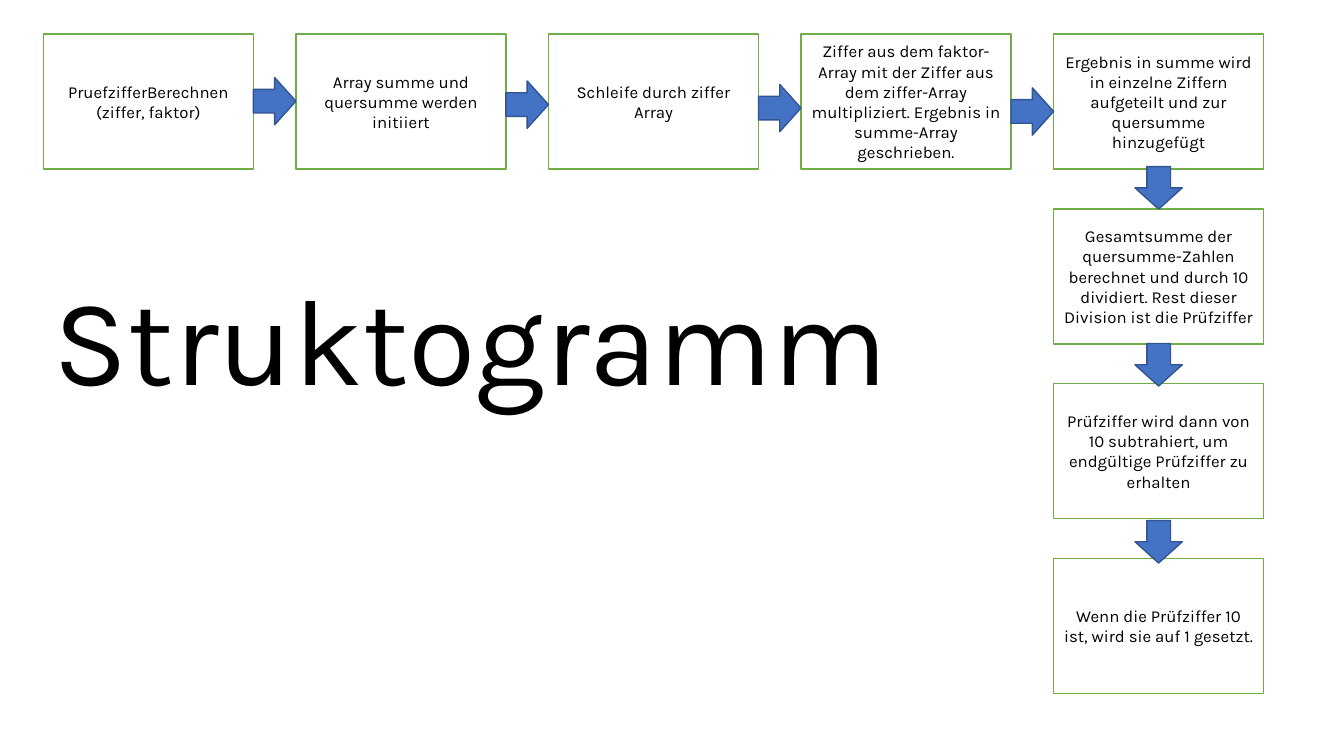
from collections import namedtuple
from dataclasses import dataclass

from pptx import Presentation
from pptx import util as u
from pptx.dml.color import RGBColor
from pptx.enum import shapes, text

Box = namedtuple("Box", "left top width height")


@dataclass(frozen=True)
class Theme:
    """Colours, font and type sizes of the deck."""
    font: str = "Karla"
    ink: str = "000000"
    step_fill: str = "FFFFFF"
    step_line: str = "70AD47"
    arrow_fill: str = "4472C4"
    arrow_line: str = "325491"
    step_size: int = 12
    title_size: int = 88
    line_width: int = 1


THEME = Theme()
STEP_WIDTH, STEP_HEIGHT = 150, 96.5
PITCH_X, PITCH_Y = 180.4, 124.8
ARROW_LENGTH, ARROW_THICKNESS = 30.4, 33.8

ROW_STEPS = [
    "PruefzifferBerechnen\n(ziffer, faktor)",
    "Array summe und quersumme werden initiiert",
    "Schleife durch ziffer Array",
    "Ziffer aus dem faktor-Array mit der Ziffer aus dem ziffer-Array "
    "multipliziert. Ergebnis in summe-Array geschrieben.",
    "Ergebnis in summe wird in einzelne Ziffern aufgeteilt und zur "
    "quersumme hinzugefügt",
]
COLUMN_STEPS = [
    "Gesamtsumme der quersumme-Zahlen berechnet und durch 10 dividiert. "
    "Rest dieser Division ist die Prüfziffer",
    "Prüfziffer wird dann von 10 subtrahiert, um endgültige Prüfziffer "
    "zu erhalten",
    "Wenn die Prüfziffer 10 ist, wird sie auf 1 gesetzt.",
]


def apply_format(target, values):
    """Set each attribute named in values on the target."""
    for name, value in values.items():
        setattr(target, name, value)


def add_block(page, kind, box, fill, line):
    """Add a filled, outlined preset shape without shadow."""
    block = page.shapes.add_shape(kind, *map(u.Pt, box))
    block.shadow.inherit = False
    block.fill.solid()
    block.fill.fore_color.rgb = RGBColor.from_string(fill)
    block.line.color.rgb = RGBColor.from_string(line)
    block.line.width = u.Pt(THEME.line_width)
    return block


def write_text(frame, wording, size, align, frame_format):
    """Fill a text frame with one paragraph per line of wording."""
    frame.text = wording
    apply_format(frame, frame_format)
    for para in frame.paragraphs:
        para.alignment = align
        for span in para.runs:
            apply_format(span.font, {"name": THEME.font, "size": u.Pt(size)})
            span.font.color.rgb = RGBColor.from_string(THEME.ink)


def add_step(page, box, wording):
    """Add one step of the flow."""
    block = add_block(page, shapes.MSO_SHAPE.RECTANGLE, box,
                      THEME.step_fill, THEME.step_line)
    write_text(block.text_frame, wording, THEME.step_size, text.PP_ALIGN.CENTER,
               {"word_wrap": True, "vertical_anchor": text.MSO_ANCHOR.MIDDLE})


def add_arrow(page, left, top, rotation=0):
    """Add one block arrow between two steps."""
    box = Box(left, top, ARROW_LENGTH, ARROW_THICKNESS)
    arrow = add_block(page, shapes.MSO_SHAPE.RIGHT_ARROW, box,
                      THEME.arrow_fill, THEME.arrow_line)
    arrow.rotation = rotation


def add_row(page, box):
    """Place the horizontal steps, joined by slightly descending arrows."""
    for i, wording in enumerate(ROW_STEPS):
        left = box.left + i * PITCH_X
        add_step(page, Box(left, box.top, STEP_WIDTH, STEP_HEIGHT), wording)
    for i in range(len(ROW_STEPS) - 1):
        add_arrow(page, box.left + i * PITCH_X + STEP_WIDTH,
                  box.top + 31 + 2.45 * i)


def add_column(page, box):
    """Place the vertical steps, each with an arrow leading into it."""
    for i, wording in enumerate(COLUMN_STEPS):
        top = box.top + i * PITCH_Y
        add_step(page, Box(box.left, top, STEP_WIDTH, STEP_HEIGHT), wording)
    for i in range(len(COLUMN_STEPS)):
        add_arrow(page, box.left + (STEP_WIDTH - ARROW_LENGTH) / 2,
                  box.top - 31.9 + 126.4 * i, rotation=90)


def add_title(page, box):
    """Place the large title."""
    title = page.shapes.add_textbox(*map(u.Pt, box))
    write_text(title.text_frame, "Struktogramm", THEME.title_size,
               text.PP_ALIGN.LEFT,
               {"word_wrap": False,
                "auto_size": text.MSO_AUTO_SIZE.SHAPE_TO_FIT_TEXT})


def main():
    """Build the deck and save it."""
    deck = Presentation()
    apply_format(deck, {"slide_width": u.Pt(960), "slide_height": u.Pt(540)})
    page = deck.slides.add_slide(deck.slide_layouts[6])
    left, top = 31, 24.4
    row_width = PITCH_X * (len(ROW_STEPS) - 1) + STEP_WIDTH
    column_height = PITCH_Y * (len(COLUMN_STEPS) - 1) + STEP_HEIGHT
    add_row(page, Box(left, top, row_width, STEP_HEIGHT))
    add_column(page, Box(left + row_width - STEP_WIDTH, top + PITCH_Y,
                         STEP_WIDTH, column_height))
    add_title(page, Box(left, 183.6, 665.3, 113.8))
    deck.save("out.pptx")


if __name__ == "__main__":
    main()
